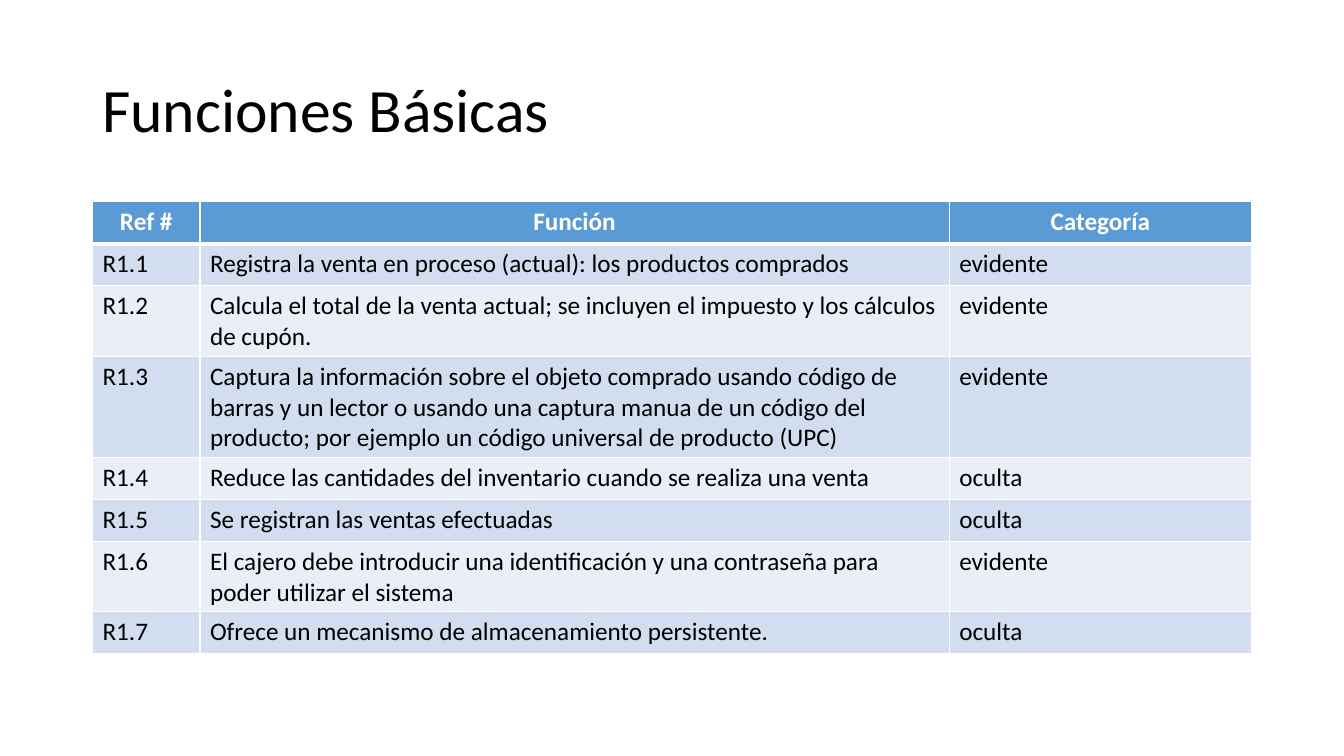
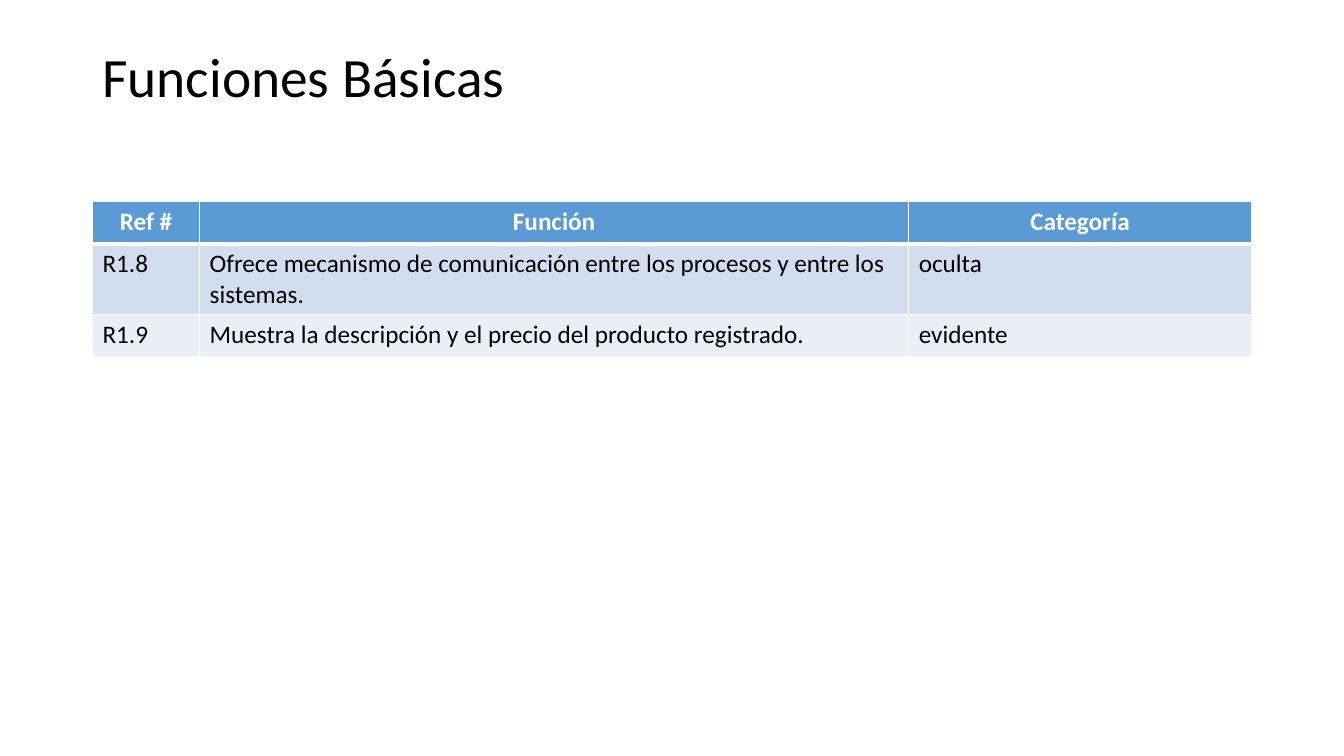
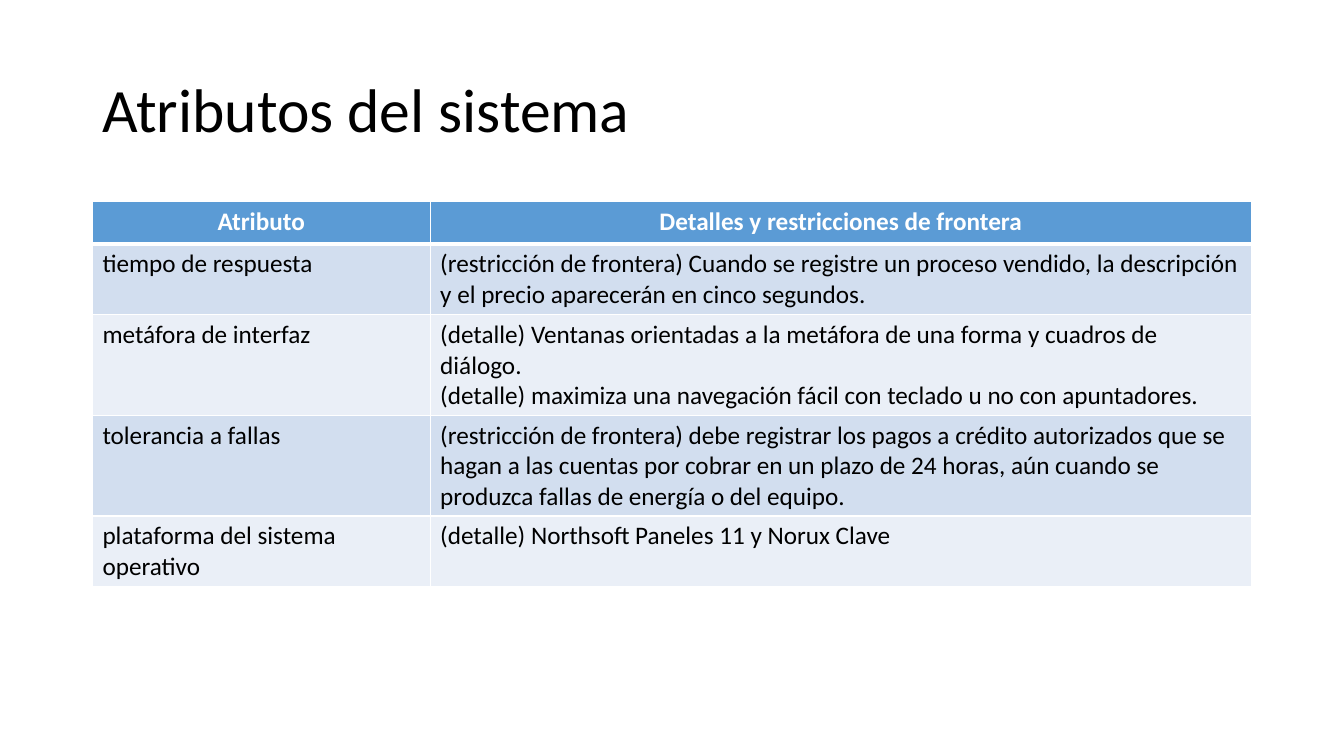
from lxml import etree
from pptx import Presentation
from pptx import util as u
from pptx.dml import color
from pptx.enum import text
from pptx.oxml import ns

BLACK = color.RGBColor(0x00, 0x00, 0x00)
WHITE = color.RGBColor(0xFF, 0xFF, 0xFF)
BLUE = color.RGBColor(0x5B, 0x9B, 0xD5)
BANDS = (color.RGBColor(0xD2, 0xDE, 0xEF), color.RGBColor(0xEA, 0xEF, 0xF7))

LEFT, WIDTH = u.Cm(2.33), u.Cm(29.21)
TITLE_TOP, TITLE_HEIGHT = u.Cm(1.01), u.Cm(3.68)
TABLE_TOP, ROW_HEIGHT = u.Cm(5.08), u.Cm(1.06)

TITLE_FONT = {"name": "Calibri", "size": u.Pt(44), "bold": False}
HEADER_FONT = {"name": "Calibri", "size": u.Pt(18), "bold": True}
BODY_FONT = HEADER_FONT | {"bold": False}
TITLE_FRAME = {"word_wrap": True, "vertical_anchor": text.MSO_ANCHOR.MIDDLE}
THIN, THICK = u.Pt(1), u.Pt(3)

FUNCTION_HEADER = ("Ref #", "Función", "Categoría")


def apply_format(target, values):
    for name, value in values.items():
        setattr(target, name, value)


class Deck:
    def __init__(self):
        self.presentation = Presentation()
        apply_format(self.presentation, {"slide_width": u.Cm(33.87), "slide_height": u.Cm(19.05)})
        self.slide = None

    def new_slide(self):
        self.slide = self.presentation.slides.add_slide(self.presentation.slide_layouts[6])

    def fill_text(self, frame, words, font, rgb, paragraph_format):
        frame.text = words
        for paragraph in frame.paragraphs:
            apply_format(paragraph, paragraph_format)
            for run in paragraph.runs:
                apply_format(run.font, font)
                run.font.color.rgb = rgb

    def title(self, words, font=TITLE_FONT, bottom=u.Cm(0.13)):
        shape = self.slide.shapes.add_textbox(LEFT, TITLE_TOP, WIDTH, TITLE_HEIGHT)
        apply_format(shape.text_frame, TITLE_FRAME | {"margin_bottom": bottom})
        self.fill_text(shape.text_frame, words, font, BLACK, {"line_spacing": 0.9})

    def borders(self, cell, top, bottom):
        properties = cell._tc.get_or_add_tcPr()
        for side, width in {"L": THIN, "R": THIN, "T": top, "B": bottom}.items():
            line = etree.SubElement(properties, ns.qn(f"a:ln{side}"), w=str(int(width)))
            fill = etree.SubElement(line, ns.qn("a:solidFill"))
            etree.SubElement(fill, ns.qn("a:srgbClr"), val=str(WHITE))

    def cell(self, cell, words, row):
        is_header = row == 0
        self.borders(cell, THICK if row == 1 else THIN, THICK if is_header else THIN)
        cell.fill.solid()
        cell.fill.fore_color.rgb = BLUE if is_header else BANDS[(row - 1) % 2]
        if is_header:
            style = HEADER_FONT, WHITE, {"alignment": text.PP_ALIGN.CENTER}
        else:
            style = BODY_FONT, BLACK, {"alignment": text.PP_ALIGN.LEFT}
        self.fill_text(cell.text_frame, words, *style)

    def table(self, widths, header, body):
        rows = [header, *body]
        table = self.slide.shapes.add_table(
            len(rows), len(header), LEFT, TABLE_TOP, WIDTH, ROW_HEIGHT * len(rows)
        ).table
        for column, width in zip(table.columns, widths):
            column.width = u.Cm(width)
        for row, values in enumerate(rows):
            for column, words in enumerate(values):
                self.cell(table.cell(row, column), words, row)


def main():
    deck = Deck()

    deck.new_slide()
    deck.title("Funciones Básicas")
    deck.table((2.71, 18.88, 7.62), FUNCTION_HEADER, [
        ("R1.1", "Registra la venta en proceso (actual): los productos comprados", "evidente"),
        ("R1.2", "Calcula el total de la venta actual; se incluyen el impuesto y los "
                 "cálculos de cupón.", "evidente"),
        ("R1.3", "Captura la información sobre el objeto comprado usando código de barras "
                 "y un lector o usando una captura manua de un código del producto; por "
                 "ejemplo un código universal de producto (UPC)", "evidente"),
        ("R1.4", "Reduce las cantidades del inventario cuando se realiza una venta", "oculta"),
        ("R1.5", "Se registran las ventas efectuadas", "oculta"),
        ("R1.6", "El cajero debe introducir una identificación y una contraseña para poder "
                 "utilizar el sistema", "evidente"),
        ("R1.7", "Ofrece un mecanismo de almacenamiento persistente.", "oculta"),
    ])

    deck.new_slide()
    deck.title("Funciones Básicas", TITLE_FONT | {"size": u.Pt(39.6)}, u.Cm(1.83))
    deck.table((2.7, 17.87, 8.64), FUNCTION_HEADER, [
        ("R1.8", "Ofrece mecanismo de comunicación entre los procesos y entre los sistemas.",
         "oculta"),
        ("R1.9", "Muestra la descripción y el precio del producto registrado.", "evidente"),
    ])

    deck.new_slide()
    deck.title("Atributos del sistema")
    deck.table((8.51, 20.7), ("Atributo", "Detalles y restricciones de frontera"), [
        ("tiempo de respuesta",
         "(restricción de frontera) Cuando se registre un proceso vendido, la descripción "
         "y el precio aparecerán en cinco segundos."),
        ("metáfora de interfaz",
         "(detalle) Ventanas orientadas a la metáfora de una forma y cuadros de diálogo.\n"
         "(detalle) maximiza una navegación fácil con teclado u no con apuntadores."),
        ("tolerancia a fallas",
         "(restricción de frontera) debe registrar los pagos a crédito autorizados que se "
         "hagan a las cuentas por cobrar en un plazo de 24 horas, aún cuando se produzca "
         "fallas de energía o del equipo."),
        ("plataforma del sistema operativo", "(detalle) Northsoft Paneles 11 y Norux Clave"),
    ])

    deck.presentation.save("out.pptx")


if __name__ == "__main__":
    main()
